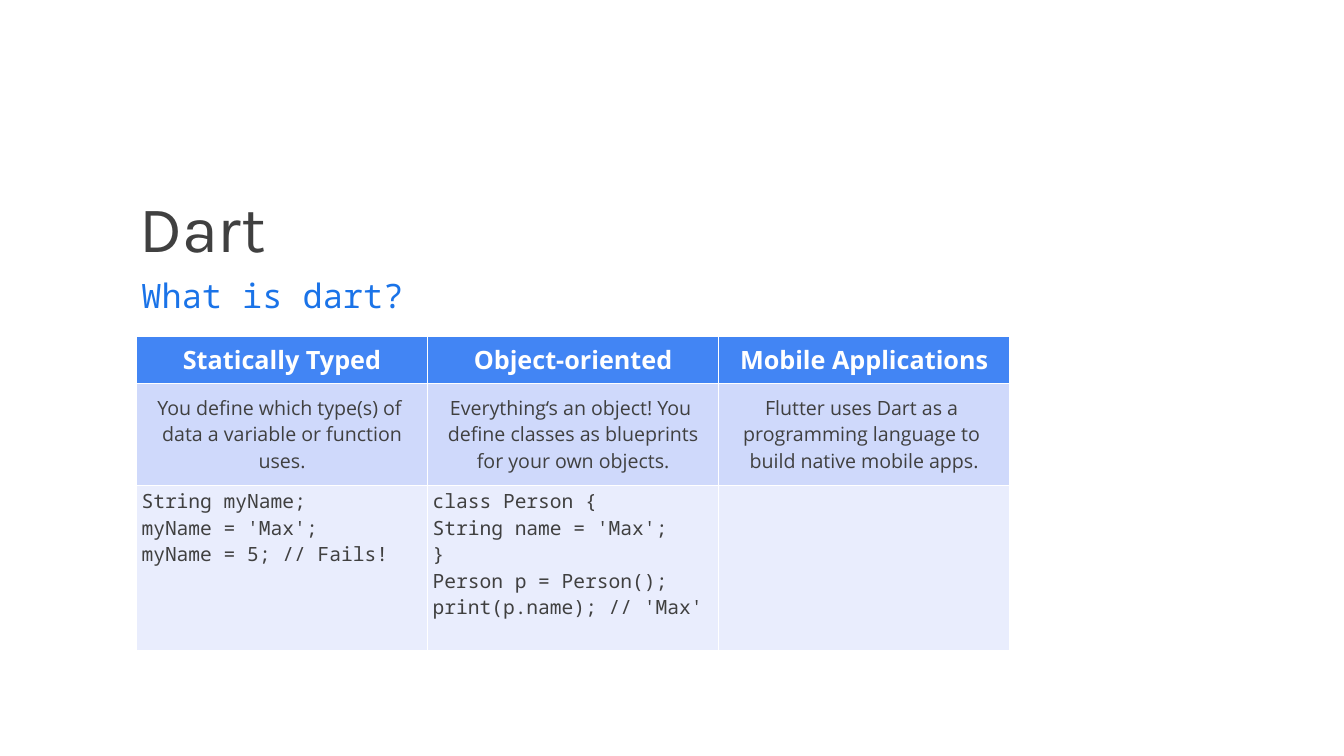
from dataclasses import dataclass

from lxml.etree import SubElement
from pptx import Presentation
from pptx.dml.color import RGBColor
from pptx.enum.text import MSO_ANCHOR as Anchor, PP_ALIGN as Align
from pptx.oxml.ns import qn
from pptx.util import Cm, Pt


@dataclass(frozen=True)
class TextStyle:
    font: str
    size: int
    color: str
    bold: bool = False
    align: Align = Align.LEFT
    anchor: Anchor = Anchor.MIDDLE


@dataclass(frozen=True)
class Theme:
    title = TextStyle("Karla", 93, "404040")
    subtitle = TextStyle("Noto Sans Mono", 48, "1A73E8")
    header = TextStyle("Open Sans", 36, "FFFFFF", True, Align.CENTER)
    body = TextStyle("Open Sans", 28, "404040", align=Align.CENTER)
    code = TextStyle("Noto Sans Mono", 28, "404040", anchor=Anchor.TOP)
    header_fill = "4285F4"
    body_fill = "CFD9FB"
    code_fill = "E9EDFD"
    border = "FFFFFF"
    thin = 1
    thick = 3


THEME = Theme()
TABLE_LEFT = 6.88
COLUMN_WIDTH = 14.67

HEADERS = [["Statically Typed"], ["Object-oriented"], ["Mobile Applications"]]
DESCRIPTIONS = [
    ["You define which type(s) of ", "data a variable or function", "uses."],
    ["Everything‘s an object! You ",
     "define classes as blueprints for your own objects."],
    ["Flutter uses Dart as a ", "programming language to ",
     "build native mobile apps."],
]
CODE = [
    ["String myName;", "myName = 'Max';", "myName = 5; // Fails!"],
    ["class Person {", "String name = 'Max';", "}",
     "Person p = Person();", "print(p.name); // 'Max'"],
    [],
]
ROWS = [
    (2.39, HEADERS, THEME.header, THEME.header_fill),
    (5.11, DESCRIPTIONS, THEME.body, THEME.body_fill),
    (8.31, CODE, THEME.code, THEME.code_fill),
]


def write_lines(frame, lines, style):
    for index, line in enumerate(lines):
        paragraph = frame.add_paragraph() if index else frame.paragraphs[0]
        paragraph.alignment = style.align
        run = paragraph.add_run()
        run.text = line
        run.font.name = style.font
        run.font.size = Pt(style.size)
        run.font.bold = style.bold
        run.font.color.rgb = RGBColor.from_string(style.color)


def add_text(slide, text, style, left, top, width, height, inset):
    shape = slide.shapes.add_textbox(Cm(left), Cm(top), Cm(width), Cm(height))
    frame = shape.text_frame
    frame.word_wrap = True
    frame.vertical_anchor = style.anchor
    frame.margin_left = frame.margin_right = Cm(inset)
    frame.margin_top = frame.margin_bottom = Cm(inset)
    write_lines(frame, [text], style)


def add_border(cell, side, width):
    properties = cell._tc.get_or_add_tcPr()
    line = SubElement(properties, qn(f"a:ln{side}"), w=str(Pt(width)))
    fill = SubElement(line, qn("a:solidFill"))
    SubElement(fill, qn("a:srgbClr"), val=THEME.border)


def style_cell(cell, lines, style, fill, top_border, bottom_border):
    borders = {"L": THEME.thin, "R": THEME.thin,
               "T": top_border, "B": bottom_border}
    for side, width in borders.items():
        add_border(cell, side, width)
    cell.fill.solid()
    cell.fill.fore_color.rgb = RGBColor.from_string(fill)
    cell.vertical_anchor = style.anchor
    write_lines(cell.text_frame, lines, style)


def add_feature_table(slide):
    column_count = len(HEADERS)
    table = slide.shapes.add_table(
        len(ROWS), column_count, Cm(TABLE_LEFT), Cm(16.94),
        Cm(COLUMN_WIDTH * column_count), Cm(sum(row[0] for row in ROWS)),
    ).table
    for column in table.columns:
        column.width = Cm(COLUMN_WIDTH)
    for row, (height, contents, style, fill) in enumerate(ROWS):
        table.rows[row].height = Cm(height)
        top_border = THEME.thick if row == 1 else THEME.thin
        bottom_border = THEME.thick if row == 0 else THEME.thin
        for column, lines in enumerate(contents):
            style_cell(table.cell(row, column), lines, style, fill,
                       top_border, bottom_border)


def main():
    presentation = Presentation()
    presentation.slide_width = Cm(67.74)
    presentation.slide_height = Cm(38.1)
    slide = presentation.slides.add_slide(presentation.slide_layouts[6])
    add_text(slide, "Dart", THEME.title, 6.32, 8.74, 40.39, 5.36, 0.69)
    add_text(slide, "What is dart?", THEME.subtitle,
             TABLE_LEFT, 13.59, 47.4, 2.57, 0.25)
    add_feature_table(slide)
    presentation.save("out.pptx")


if __name__ == "__main__":
    main()
